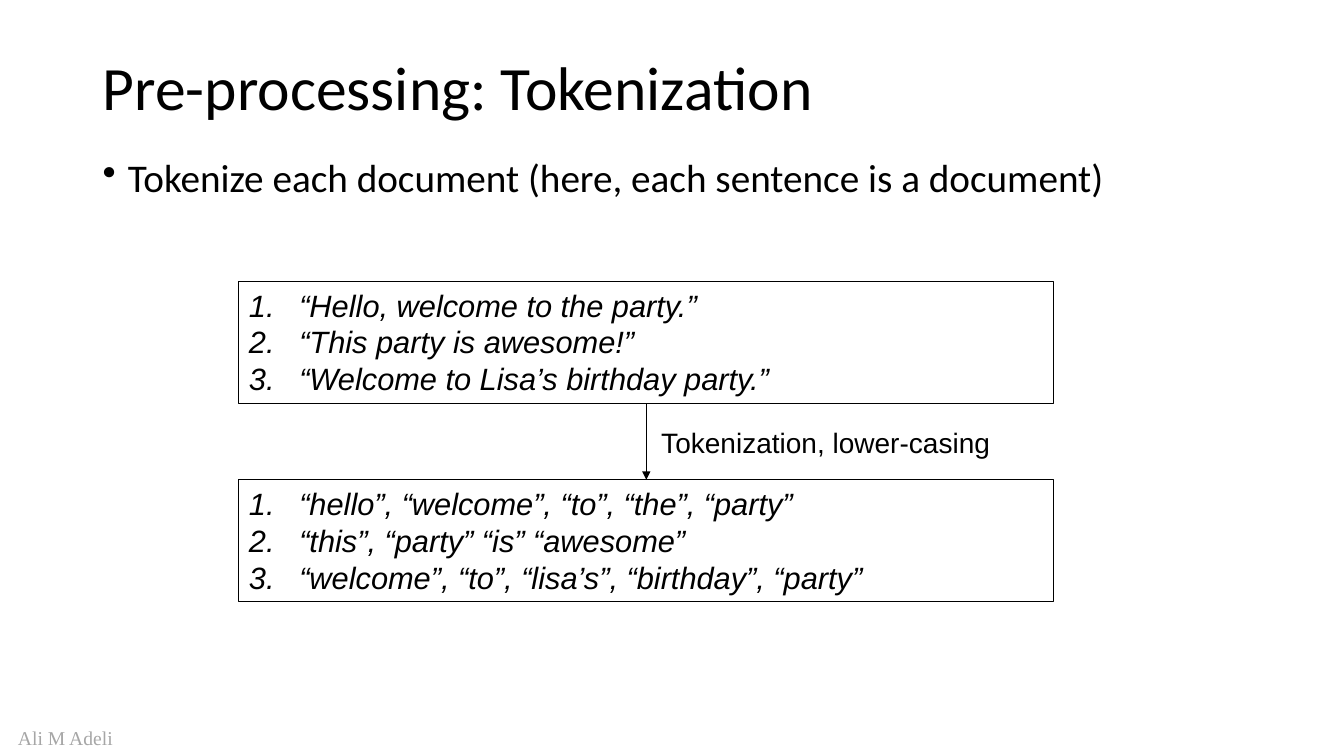
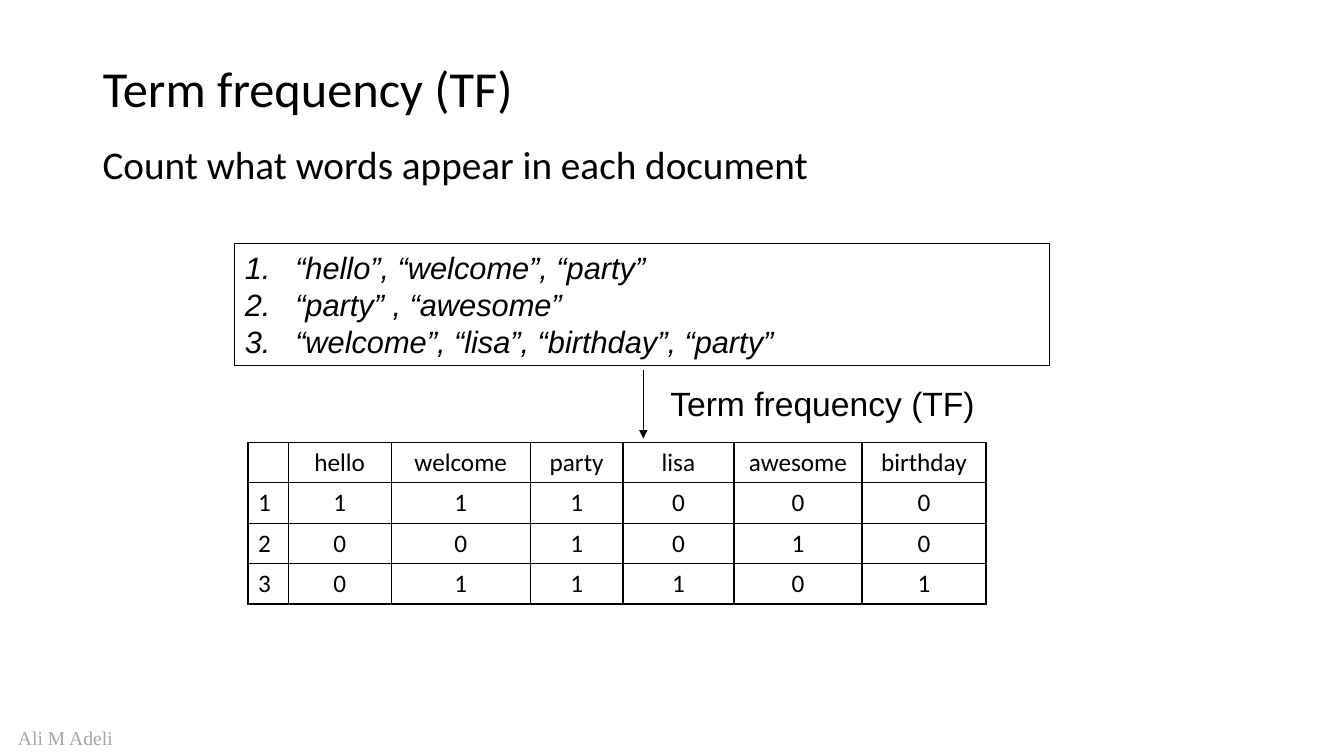
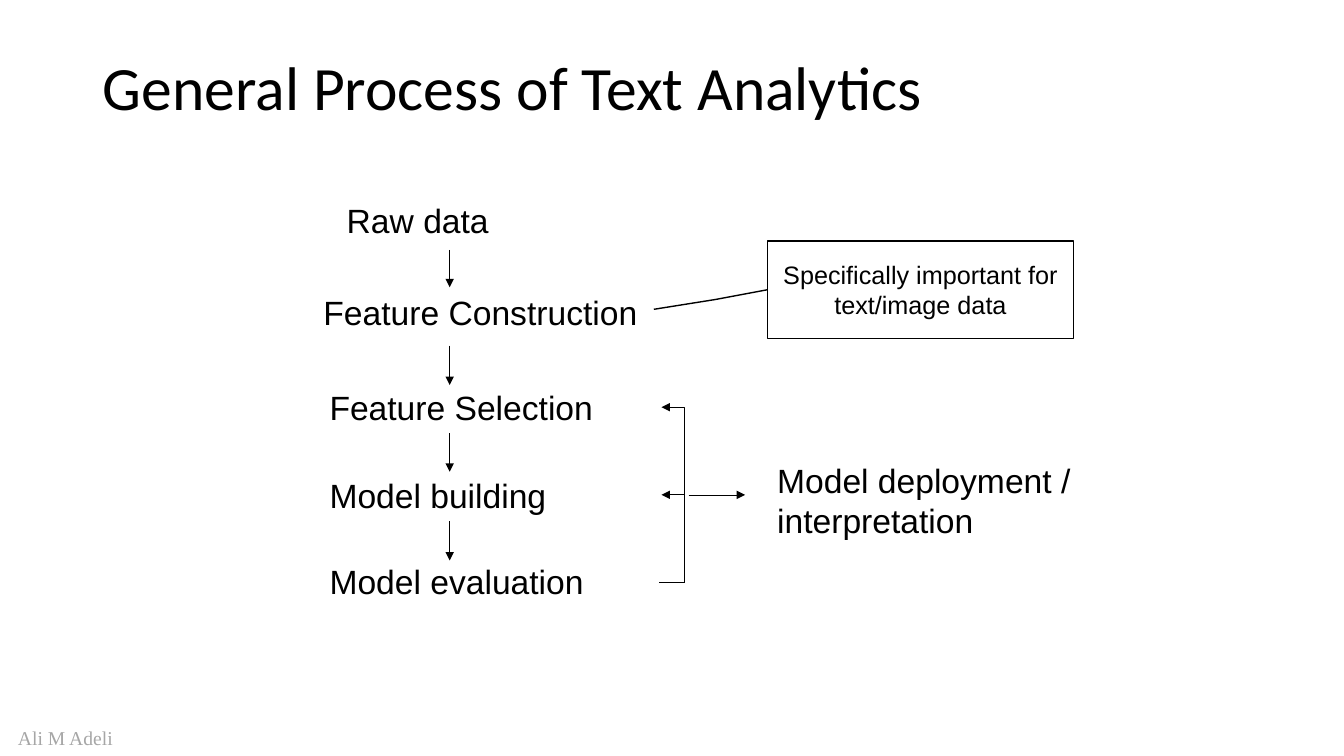
from dataclasses import dataclass

from lxml import etree
from pptx import Presentation
from pptx.dml.color import RGBColor
from pptx.enum.shapes import MSO_CONNECTOR, MSO_SHAPE
from pptx.enum.text import MSO_ANCHOR, MSO_AUTO_SIZE, PP_ALIGN
from pptx.oxml.ns import qn
from pptx.util import Pt

EMU_PER_PX = 9144
COLORS = {"ink": "000000", "paper": "FFFFFF", "muted": "A6A6A6"}
HEADING_FONT = "Calibri"
BODY_FONT = "Arial"
FOOTER_FONT = "Times New Roman"
LEFT = PP_ALIGN.LEFT
CENTER = PP_ALIGN.CENTER
TOP = MSO_ANCHOR.TOP
MIDDLE = MSO_ANCHOR.MIDDLE
NO_AUTOFIT = MSO_AUTO_SIZE.NONE
STRAIGHT = MSO_CONNECTOR.STRAIGHT
ELBOW = MSO_CONNECTOR.ELBOW
RECTANGLE = MSO_SHAPE.RECTANGLE
CALLOUT = MSO_SHAPE.LINE_CALLOUT_2
TITLE_ONLY = 5


@dataclass(frozen=True)
class Box:
    left: int
    top: int
    width: int
    height: int

    def emu(self) -> tuple[int, ...]:
        return tuple(px(n) for n in (self.left, self.top, self.width, self.height))


@dataclass(frozen=True)
class Stage:
    text: str
    box: Box


@dataclass(frozen=True)
class Arrow:
    x1: int
    y1: int
    x2: int
    y2: int
    bend_x: int | None = None


@dataclass(frozen=True)
class Bullet:
    tag: str
    attribute: str
    value: str
    indent: int


DOT = Bullet("a:buChar", "char", "•", 25)
NUMBER = Bullet("a:buAutoNum", "type", "arabicPeriod", 50)


def px(n: int) -> int:
    return n * EMU_PER_PX


def rgb(name: str) -> RGBColor:
    return RGBColor.from_string(COLORS[name])


def add_bullet(p, bullet: Bullet) -> None:
    pPr = p._p.get_or_add_pPr()
    pPr.set("marL", str(px(bullet.indent)))
    pPr.set("indent", str(-px(bullet.indent)))
    etree.SubElement(pPr, qn(bullet.tag)).set(bullet.attribute, bullet.value)


def write_text(tf, text: str, *, size: int, font: str = BODY_FONT,
               color: str = "ink", align=LEFT, italic: bool = False,
               spacing: float | None = None, before: int = 0, after: int = 0,
               bullet: Bullet | None = None) -> None:
    tf.word_wrap = True
    for i, line in enumerate(text.split("\n")):
        p = tf.add_paragraph() if i else tf.paragraphs[0]
        p.alignment = align
        p.line_spacing = spacing
        p.space_before = Pt(before)
        p.space_after = Pt(after)
        if bullet:
            add_bullet(p, bullet)
        r = p.add_run()
        r.text = line
        r.font.size = Pt(size)
        r.font.name = font
        r.font.italic = italic
        r.font.color.rgb = rgb(color)


def add_text(s, box: Box, text: str, **fmt):
    sp = s.shapes.add_textbox(*box.emu())
    write_text(sp.text_frame, text, **fmt)
    return sp


def add_outlined(s, kind, box: Box, text: str, *, weight: float, anchor, **fmt):
    sp = s.shapes.add_shape(kind, *box.emu())
    sp.shadow.inherit = False
    sp.fill.background()
    sp.line.color.rgb = rgb("ink")
    sp.line.width = Pt(weight)
    sp.text_frame.vertical_anchor = anchor
    write_text(sp.text_frame, text, **fmt)
    return sp


def add_documents(s, left: int, top: int, text: str) -> None:
    add_outlined(s, RECTANGLE, Box(left, top, 808, 121), text, weight=0.75,
                 anchor=TOP, size=22, italic=True, bullet=NUMBER)


def add_arrow(s, arrow: Arrow) -> None:
    kind = STRAIGHT if arrow.bend_x is None else ELBOW
    ends = (arrow.x1, arrow.y1, arrow.x2, arrow.y2)
    line = s.shapes.add_connector(kind, *(px(n) for n in ends))
    line.line.color.rgb = rgb("ink")
    line.line.width = Pt(0.5)
    spPr = line.element.spPr
    etree.SubElement(spPr.find(qn("a:ln")), qn("a:tailEnd")).set("type", "triangle")
    etree.SubElement(spPr, qn("a:effectLst"))
    if arrow.bend_x is not None:
        ratio = (arrow.bend_x - arrow.x1) / (arrow.x2 - arrow.x1)
        geometry = spPr.find(qn("a:prstGeom"))
        guides = geometry.find(qn("a:avLst"))
        if guides is None:
            guides = etree.SubElement(geometry, qn("a:avLst"))
        guide = etree.SubElement(guides, qn("a:gd"))
        guide.set("name", "adj1")
        guide.set("fmla", f"val {round(ratio * 100000)}")


def add_cell_borders(cell) -> None:
    tcPr = cell._tc.get_or_add_tcPr()
    for side in ("a:lnL", "a:lnR", "a:lnT", "a:lnB"):
        ln = etree.SubElement(tcPr, qn(side))
        ln.set("w", str(Pt(1)))
        fill = etree.SubElement(ln, qn("a:solidFill"))
        etree.SubElement(fill, qn("a:srgbClr")).set("val", COLORS["ink"])


def add_count_table(s, box: Box, widths: list[int], rows: list[list[str]]) -> None:
    table = s.shapes.add_table(len(rows), len(widths), *box.emu()).table
    table.first_row = False
    table.horz_banding = False
    for column, width in zip(table.columns, widths):
        column.width = px(width)
    for i, row in enumerate(rows):
        for j, value in enumerate(row):
            cell = table.cell(i, j)
            add_cell_borders(cell)
            cell.fill.background()
            write_text(cell.text_frame, value, size=18, font=HEADING_FONT,
                       align=CENTER if j else LEFT)


def add_master_footer(prs, s) -> None:
    sp = add_text(s, Box(8, 715, 147, 34), "Ali M Adeli", size=14,
                  font=FOOTER_FONT, color="muted")
    sp.element.nvSpPr.cNvPr.id = 100
    prs.slide_master.shapes.element.append(sp.element)


def new_slide(prs, title: str, size: int = 44):
    s = prs.slides.add_slide(prs.slide_layouts[TITLE_ONLY])
    sp = s.shapes.title
    sp.left, sp.top, sp.width, sp.height = Box(92, 40, 1150, 100).emu()
    tf = sp.text_frame
    tf.auto_size = NO_AUTOFIT
    tf.vertical_anchor = MIDDLE
    write_text(tf, title, size=size, font=HEADING_FONT, spacing=0.9)
    return s


def build_tokenization(prs) -> None:
    s = new_slide(prs, "Pre-processing: Tokenization")
    add_master_footer(prs, s)
    add_text(s, Box(92, 152, 1150, 527),
             "Tokenize each document (here, each sentence is a document)",
             size=28, font=HEADING_FONT, spacing=0.9, before=10, bullet=DOT)
    add_documents(s, 237, 279, "“Hello, welcome to the party.”\n"
                  "“This party is awesome!”\n"
                  "“Welcome to Lisa’s birthday party.”")
    add_documents(s, 237, 476, "“hello”, “welcome”, “to”, “the”, “party”\n"
                  "“this”, “party” “is” “awesome”\n"
                  "“welcome”, “to”, “lisa’s”, “birthday”, “party”")
    add_arrow(s, Arrow(641, 400, 641, 476))
    add_text(s, Box(646, 417, 358, 44), "Tokenization, lower-casing",
             size=20, after=12)


def build_term_frequency(prs) -> None:
    s = new_slide(prs, "Term frequency (TF)", size=36)
    add_text(s, Box(92, 140, 1126, 56), "Count what words appear in each document",
             size=28, font=HEADING_FONT, spacing=0.9, before=10)
    add_arrow(s, Arrow(638, 367, 638, 435))
    add_count_table(s, Box(246, 439, 732, 160), [40, 102, 138, 92, 110, 127, 123], [
        ["", "hello", "welcome", "party", "lisa", "awesome", "birthday"],
        ["1", "1", "1", "1", "0", "0", "0"],
        ["2", "0", "0", "1", "0", "1", "0"],
        ["3", "0", "1", "1", "1", "0", "1"],
    ])
    add_text(s, Box(655, 375, 450, 50), "Term frequency (TF)", size=24, after=12)
    add_documents(s, 233, 242, "“hello”, “welcome”, “party”\n"
                  "“party” , “awesome”\n"
                  "“welcome”, “lisa”, “birthday”, “party”")


def build_process(prs) -> None:
    s = new_slide(prs, "General Process of Text Analytics")
    stages = [
        Stage("Raw data", Box(334, 193, 199, 50)),
        Stage("Feature Construction", Box(311, 285, 385, 50)),
        Stage("Feature Selection", Box(317, 379, 337, 50)),
        Stage("Model building", Box(317, 466, 337, 50)),
        Stage("Model evaluation", Box(317, 552, 337, 50)),
        Stage("Model deployment / interpretation", Box(761, 451, 337, 91)),
    ]
    for stage in stages:
        add_text(s, stage.box, stage.text, size=24)
    for y1, y2 in ((248, 285), (343, 382), (430, 468), (517, 556)):
        add_arrow(s, Arrow(446, y1, 446, y2))
    for y in (404, 491):
        add_arrow(s, Arrow(654, 578, 656, y, bend_x=679))
    add_arrow(s, Arrow(683, 491, 739, 491))
    note = add_outlined(s, CALLOUT, Box(761, 239, 304, 97),
                        "Specifically important for text/image data",
                        weight=1, anchor=MIDDLE, size=18, align=CENTER)
    for i, value in enumerate((0.5, 0, 0.6, -0.17, 0.7, -0.37)):
        note.adjustments[i] = value


def main() -> None:
    prs = Presentation()
    prs.slide_width = px(1333)
    prs.slide_height = px(750)
    background = prs.slide_master.background.fill
    background.solid()
    background.fore_color.rgb = rgb("paper")
    build_tokenization(prs)
    build_term_frequency(prs)
    build_process(prs)
    prs.save("out.pptx")


if __name__ == "__main__":
    main()
